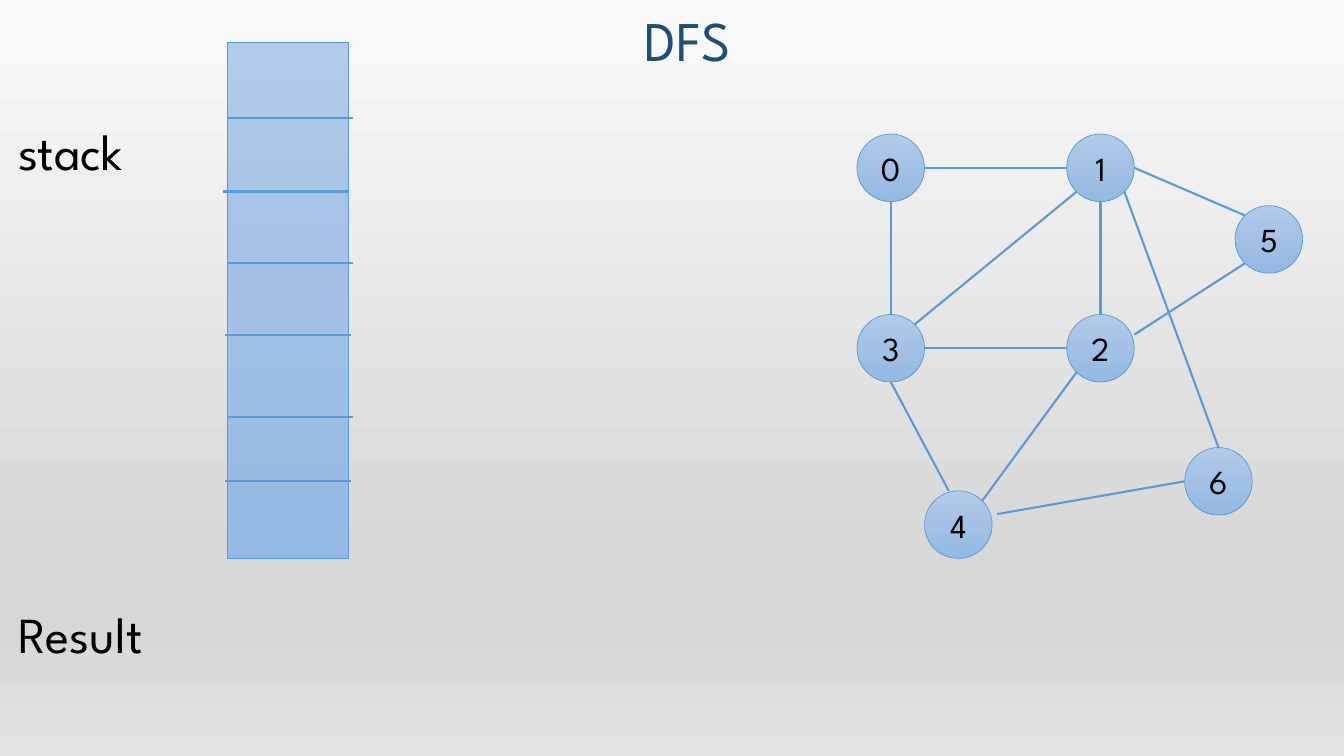
from math import cos, radians, sin

from pptx import Presentation
from pptx.dml.color import RGBColor
from pptx.enum.shapes import MSO_CONNECTOR, MSO_SHAPE
from pptx.enum.text import MSO_ANCHOR, MSO_AUTO_SIZE, PP_ALIGN
from pptx.oxml.ns import qn
from pptx.oxml.xmlchemy import OxmlElement
from pptx.util import Inches, Pt

FONT = "League Spartan"
BLUE = "5B9BD5"
BLUE_STOPS = [(0, "B1CBE9"), (50, "A3C1E5"), (100, "93B9E4")]
GREY_STOPS = [(0, "FAFAFA"), (74, "D7D7D7"), (83, "D7D7D7"), (100, "E4E4E4")]
NODE_SIZE = 0.67
NODES = {
    "0": (8.5, 1.33), "1": (10.58, 1.33), "2": (10.58, 3.12), "3": (8.5, 3.12),
    "4": (9.17, 4.87), "5": (12.25, 2.04), "6": (11.75, 4.44),
}
RIGHT, LOWER_RIGHT, BOTTOM, LOWER_LEFT = 0, 45, 90, 135
LEFT, UPPER_LEFT, TOP, UPPER_RIGHT = 180, 225, 270, 315
EDGES = [
    (("0", RIGHT), ("1", LEFT)),
    (("0", BOTTOM), ("3", TOP)),
    (("3", RIGHT), ("2", LEFT)),
    (("1", BOTTOM), ("2", TOP)),
    (("3", BOTTOM), (9.41, 4.87)),
    (("3", UPPER_RIGHT), ("1", LOWER_LEFT)),
    (("1", RIGHT), ("5", UPPER_LEFT)),
    ((11.25, 3.32), ("5", LOWER_LEFT)),
    ((9.89, 5.1), ("6", LEFT)),
    (("6", TOP), ("1", LOWER_RIGHT)),
    (("2", LOWER_LEFT), ("4", UPPER_RIGHT)),
]
STACK_DIVIDERS = [(2.25, 1.17), (2.21, 1.9), (2.25, 2.61),
                  (2.23, 3.32), (2.25, 4.14), (2.23, 4.77)]
DIVIDER_LENGTH = 1.25


def color(hex_value):
    """Return the colour for a hex string."""
    return RGBColor.from_string(hex_value)


def fill_gradient(fill, owner, stops):
    """Give the owner's fill a top-to-bottom gradient with the given stops."""
    fill.gradient()
    fill.gradient_angle = 270
    stop_list = next(owner.iter(qn("a:gsLst")))
    for stop in list(stop_list):
        stop_list.remove(stop)
    for position, hex_value in stops:
        stop = OxmlElement("a:gs")
        stop.set("pos", str(position * 1000))
        stop_color = OxmlElement("a:srgbClr")
        stop_color.set("val", hex_value)
        stop.append(stop_color)
        stop_list.append(stop)


def write_text(paragraph, text, size=24, hex_value="000000",
               align=PP_ALIGN.CENTER, line_spacing=1.0, space_before=0):
    """Write formatted text into a paragraph."""
    paragraph.alignment = align
    paragraph.line_spacing = line_spacing
    paragraph.space_before = Pt(space_before)
    run = paragraph.add_run()
    run.text = text
    run.font.name = FONT
    run.font.size = Pt(size)
    run.font.color.rgb = color(hex_value)


def place(shape, left, top, width, height):
    """Move and size a placeholder, and return its text frame."""
    shape.left, shape.top = Inches(left), Inches(top)
    shape.width, shape.height = Inches(width), Inches(height)
    shape.text_frame.auto_size = MSO_AUTO_SIZE.NONE
    return shape.text_frame


def remove_bullet(paragraph):
    """Remove the bullet and indent of a paragraph."""
    properties = paragraph._p.get_or_add_pPr()
    properties.set("marL", "0")
    properties.set("indent", "0")
    properties.append(OxmlElement("a:buNone"))


def add_blue_shape(slide, kind, left, top, width, height):
    """Add a preset shape with the blue gradient and a thin outline."""
    shape = slide.shapes.add_shape(
        kind, Inches(left), Inches(top), Inches(width), Inches(height))
    shape.shadow.inherit = False
    fill_gradient(shape.fill, shape.element, BLUE_STOPS)
    shape.line.color.rgb = color(BLUE)
    shape.line.width = Pt(0.5)
    return shape


def add_node(slide, label, left, top):
    """Add a labelled graph node."""
    node = add_blue_shape(slide, MSO_SHAPE.OVAL, left, top, NODE_SIZE, NODE_SIZE)
    node.text_frame.vertical_anchor = MSO_ANCHOR.MIDDLE
    write_text(node.text_frame.paragraphs[0], label)


def add_line(slide, start, end):
    """Add a straight blue line between two points."""
    line = slide.shapes.add_connector(
        MSO_CONNECTOR.STRAIGHT, *(Inches(value) for value in (*start, *end)))
    line.line.color.rgb = color(BLUE)
    line.line.width = Pt(1.5)
    line.element.spPr.append(OxmlElement("a:effectLst"))


def edge_point(endpoint):
    """Return the point for a node label with an angle, or a free point."""
    label, angle = endpoint
    if label not in NODES:
        return endpoint
    left, top = NODES[label]
    radius = NODE_SIZE / 2
    return (left + radius * (1 + cos(radians(angle))),
            top + radius * (1 + sin(radians(angle))))


def add_headings(slide):
    """Fill the title and body placeholders."""
    title = place(slide.shapes.title, 0.41, 0, 12.83, 0.78)
    title.vertical_anchor = MSO_ANCHOR.BOTTOM
    write_text(title.paragraphs[0], "DFS", size=40, hex_value="1F4E79",
               line_spacing=0.9)
    body = place(slide.placeholders[1], 0.08, 0.78, 13.17, 6.72)
    body.vertical_anchor = MSO_ANCHOR.TOP
    for paragraph, text, gap in ((body.paragraphs[0], "stack", 0),
                                 (body.add_paragraph(), "Result", 276)):
        write_text(paragraph, text, size=36, align=PP_ALIGN.LEFT,
                   line_spacing=1.6, space_before=gap)
        remove_bullet(paragraph)


def main():
    """Build the depth-first search slide."""
    presentation = Presentation()
    presentation.slide_width = Inches(13.33)
    presentation.slide_height = Inches(7.5)
    slide = presentation.slides.add_slide(presentation.slide_layouts[1])
    fill_gradient(slide.background.fill, slide.element, GREY_STOPS)
    add_headings(slide)
    for label, (left, top) in NODES.items():
        add_node(slide, label, left, top)
    for start, end in EDGES:
        add_line(slide, edge_point(start), edge_point(end))
    add_blue_shape(slide, MSO_SHAPE.RECTANGLE, 2.25, 0.42, 1.21, 5.12)
    for left, top in STACK_DIVIDERS:
        add_line(slide, (left, top), (left + DIVIDER_LENGTH, top))
    presentation.save("out.pptx")


main()
